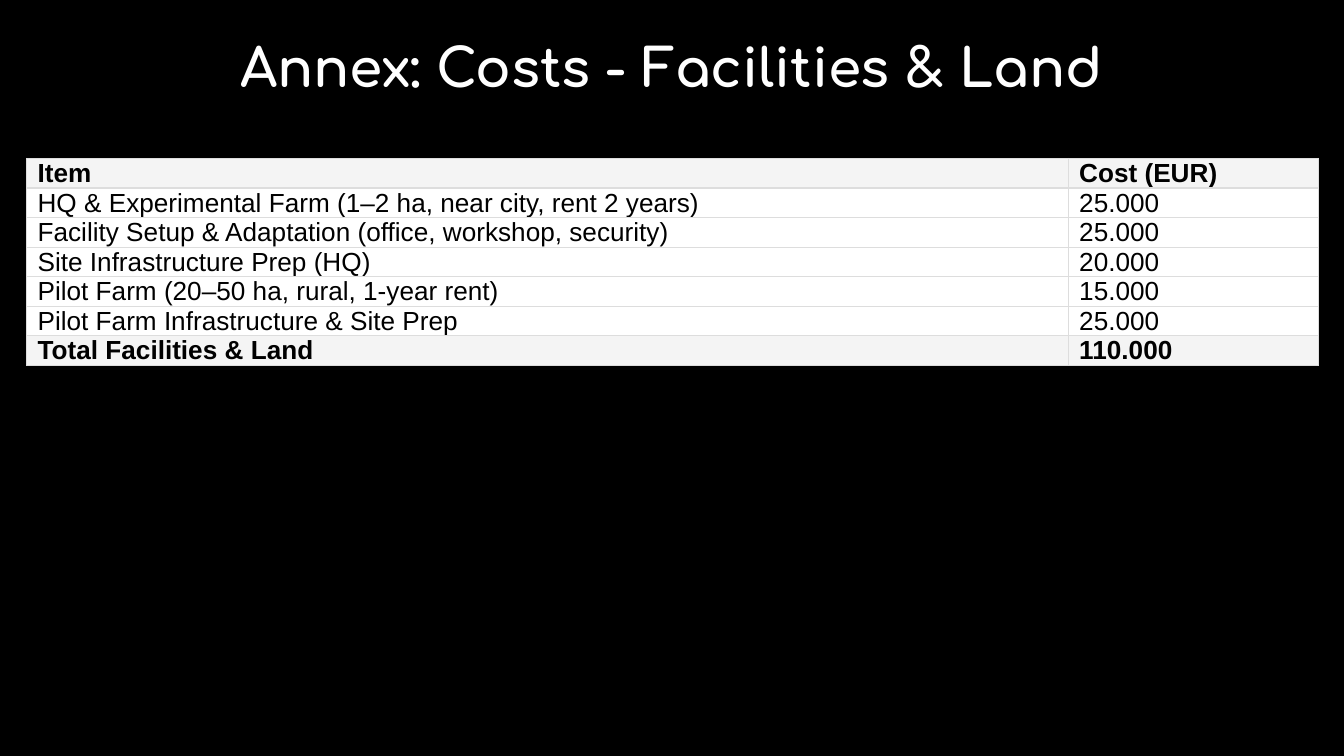
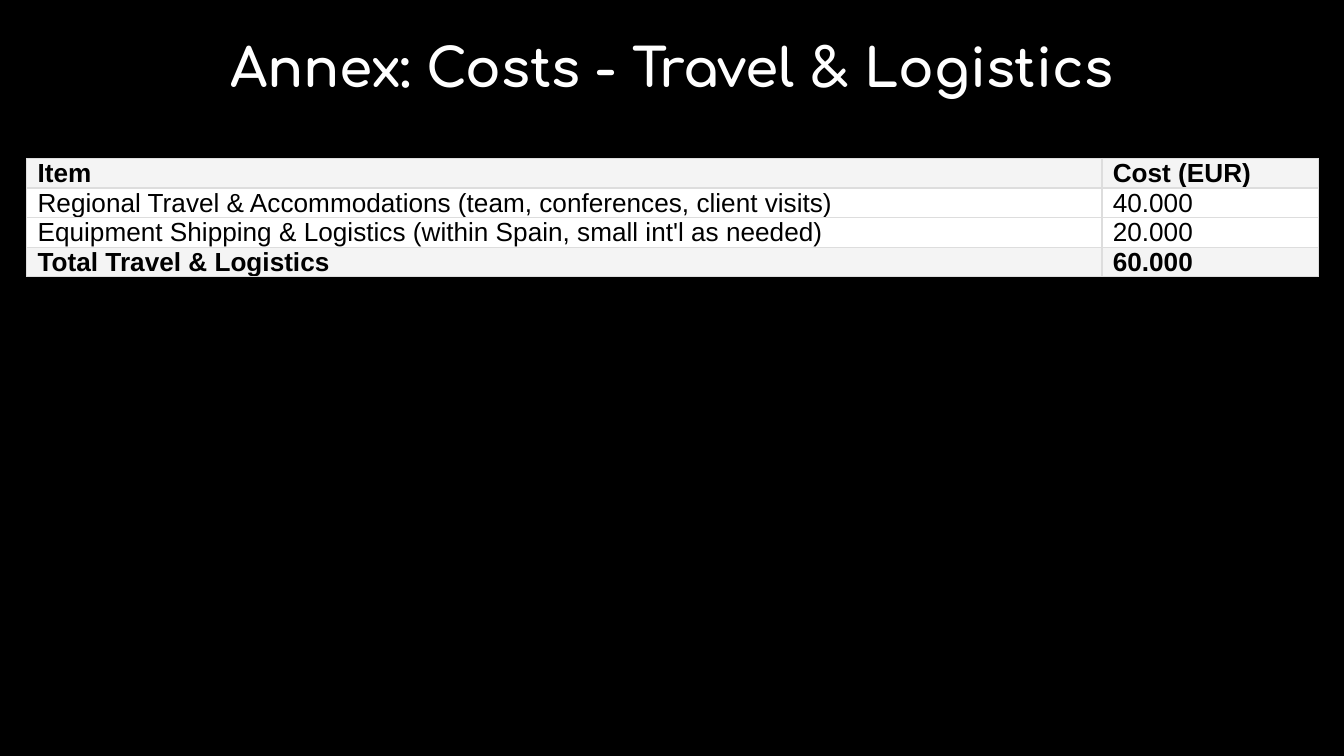
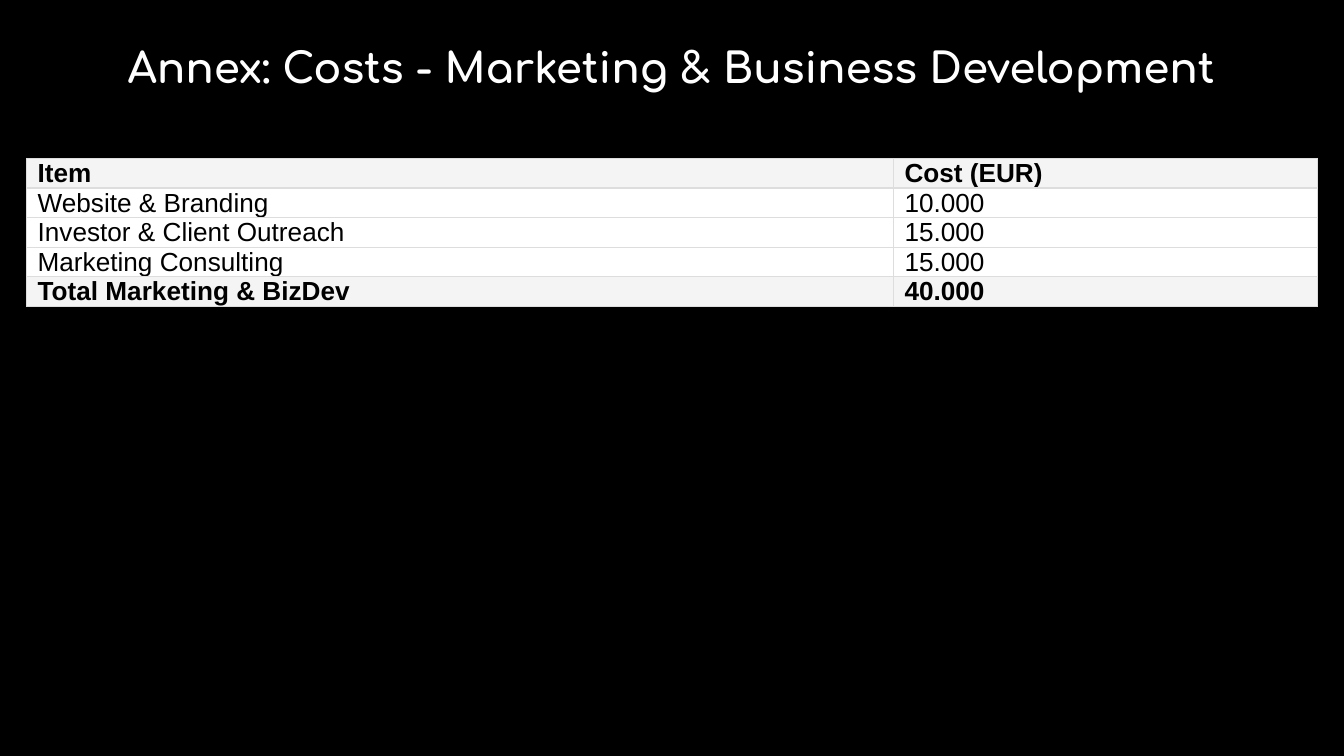
from lxml import etree
from pptx import Presentation
from pptx.dml.color import RGBColor
from pptx.enum.text import MSO_ANCHOR, MSO_AUTO_SIZE, PP_ALIGN
from pptx.oxml.ns import qn
from pptx.util import Inches, Pt

MIDDLE = MSO_ANCHOR.MIDDLE
BOTTOM = MSO_ANCHOR.BOTTOM
CENTER = PP_ALIGN.CENTER
NO_AUTOFIT = MSO_AUTO_SIZE.NONE

COLORS = {
    "background": "000000",
    "title": "FFFFFF",
    "text": "000000",
    "row": "FFFFFF",
    "emphasis": "F4F4F4",
    "border": "DDDDDD",
}
TITLE_FONT = "Comfortaa"
TABLE_FONT = "Arial"
ROW_HEIGHT = 0.22
HEADER = ("Item", "Cost (EUR)")

COST_SLIDES = [
    {
        "title": "Annex: Costs - Facilities & Land",
        "title_size": 28.4,
        "widths": (7.75, 1.86),
        "rows": [
            ("HQ & Experimental Farm (1–2 ha, near city, rent 2 years)", "25.000"),
            ("Facility Setup & Adaptation (office, workshop, security)", "25.000"),
            ("Site Infrastructure Prep (HQ)", "20.000"),
            ("Pilot Farm (20–50 ha, rural, 1-year rent)", "15.000"),
            ("Pilot Farm Infrastructure & Site Prep", "25.000"),
            ("Total Facilities & Land", "110.000"),
        ],
    },
    {
        "title": "Annex: Costs - Travel & Logistics",
        "title_size": 28.4,
        "widths": (8, 1.61),
        "rows": [
            ("Regional Travel & Accommodations (team, conferences, client visits)", "40.000"),
            ("Equipment Shipping & Logistics (within Spain, small int'l as needed)", "20.000"),
            ("Total Travel & Logistics", "60.000"),
        ],
    },
    {
        "title": "Annex: Costs - Marketing & Business Development",
        "title_size": 22.4,
        "widths": (6.45, 3.15),
        "rows": [
            ("Website & Branding", "10.000"),
            ("Investor & Client Outreach", "15.000"),
            ("Marketing Consulting", "15.000"),
            ("Total Marketing & BizDev", "40.000"),
        ],
    },
]


def style_text(paragraph, font_name, size, color, bold):
    for span in paragraph.runs:
        span.font.name = font_name
        span.font.size = Pt(size)
        span.font.bold = bold
        span.font.color.rgb = RGBColor.from_string(COLORS[color])


def add_borders(cell):
    properties = cell._tc.get_or_add_tcPr()
    for side in ("a:lnL", "a:lnR", "a:lnT", "a:lnB"):
        line = etree.SubElement(properties, qn(side), w=str(Pt(0.75)))
        fill = etree.SubElement(line, qn("a:solidFill"))
        etree.SubElement(fill, qn("a:srgbClr"), val=COLORS["border"])


deck = Presentation()
deck.slide_width = Inches(10)
deck.slide_height = Inches(10) * 9 // 16
background = deck.slide_master.background.fill
background.solid()
background.fore_color.rgb = RGBColor.from_string(COLORS["background"])
title_only = deck.slide_layouts[5]

for content in COST_SLIDES:
    page = deck.slides.add_slide(title_only)

    title = page.shapes.title
    title.left, title.top = Inches(0), Inches(0.2)
    title.width, title.height = Inches(10), Inches(0.59)
    frame = title.text_frame
    frame.text = content["title"]
    frame.word_wrap = True
    frame.auto_size = NO_AUTOFIT
    frame.vertical_anchor = MIDDLE
    frame.paragraphs[0].alignment = CENTER
    style_text(frame.paragraphs[0], TITLE_FONT, content["title_size"], "title", True)

    rows = [HEADER, *content["rows"]]
    widths = content["widths"]
    table = page.shapes.add_table(
        len(rows), len(widths), Inches(0.2), Inches(1.18),
        Inches(sum(widths)), Inches(ROW_HEIGHT * len(rows)),
    ).table
    table.horz_banding = False
    for column, width in zip(table.columns, widths):
        column.width = Inches(width)

    for row_index, values in enumerate(rows):
        table.rows[row_index].height = Inches(ROW_HEIGHT)
        emphasized = row_index in (0, len(rows) - 1)
        for column_index, value in enumerate(values):
            cell = table.cell(row_index, column_index)
            cell.text = value
            cell.margin_left = Inches(0.08)
            cell.margin_right = cell.margin_top = cell.margin_bottom = 0
            cell.vertical_anchor = BOTTOM
            add_borders(cell)
            cell.fill.solid()
            cell.fill.fore_color.rgb = RGBColor.from_string(
                COLORS["emphasis" if emphasized else "row"]
            )
            style_text(cell.text_frame.paragraphs[0], TABLE_FONT, 14, "text", emphasized)

deck.save("out.pptx")
